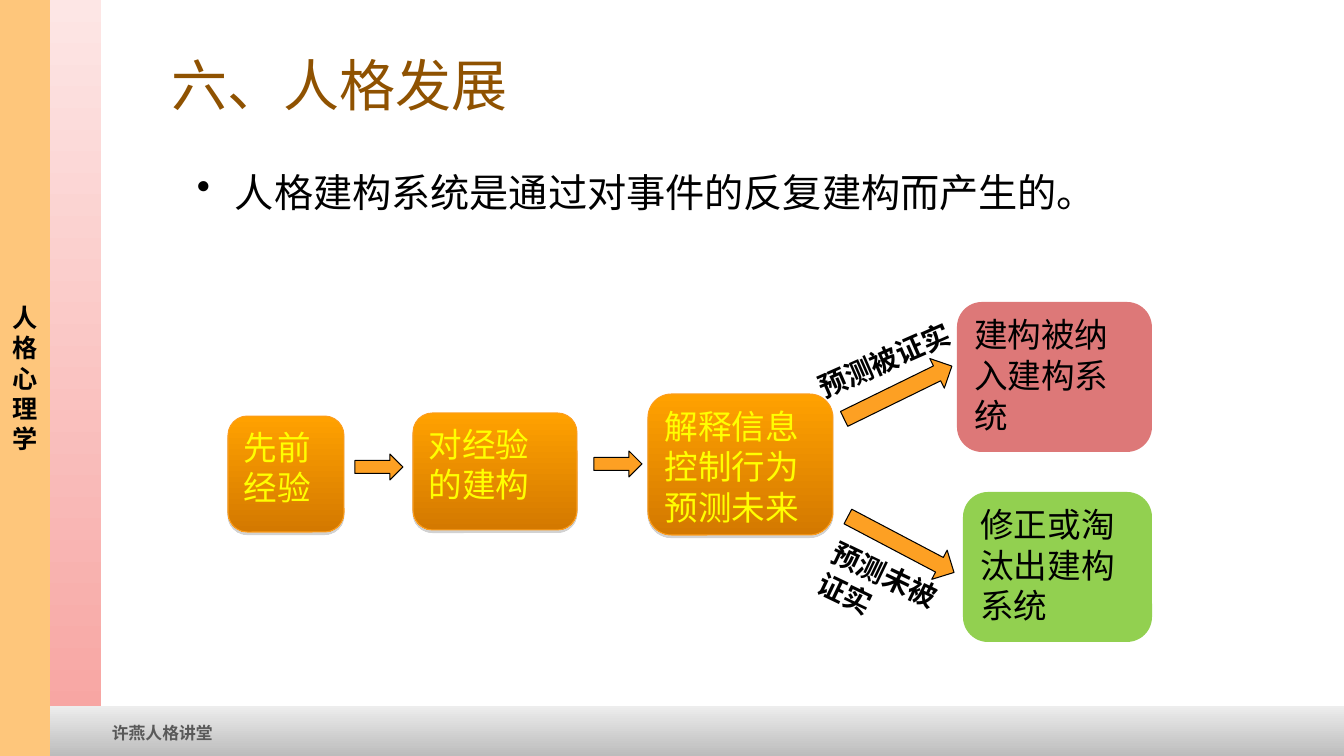
"""Build the slide on personality development with its construct flow diagram."""
from lxml import etree
from pptx import Presentation
from pptx import util as u
from pptx.dml.color import RGBColor
from pptx.enum import shapes, text
from pptx.oxml import ns

PX = 914400 / 100.8
BLACK = RGBColor(0x00, 0x00, 0x00)
GREY = RGBColor(0x59, 0x59, 0x59)
BROWN = RGBColor(0x8F, 0x52, 0x01)
YELLOW = RGBColor(0xFF, 0xFF, 0x00)
PEACH = RGBColor(0xFE, 0xC6, 0x7B)
ORANGE = RGBColor(0xFD, 0xA0, 0x23)
EDGE = RGBColor(0xFD, 0x9D, 0x1D)
RED = RGBColor(0xC0, 0x00, 0x00)
GREEN = RGBColor(0x92, 0xD0, 0x50)
PINK_FADE = [RGBColor(0xFD, 0xE6, 0xE5), RGBColor(0xF7, 0xA2, 0x9F)]
GREY_FADE = [RGBColor(0xED, 0xED, 0xED), RGBColor(0xBC, 0xBC, 0xBC)]
ORANGE_FADE = [RGBColor(0xFF, 0xA1, 0x00), RGBColor(0xD4, 0x79, 0x00)]
NOTO = "Noto Sans CJK SC"
CABIN = "Cabin"
RECT = shapes.MSO_SHAPE.RECTANGLE
ROUND = shapes.MSO_SHAPE.ROUNDED_RECTANGLE
ARROW = shapes.MSO_SHAPE.RIGHT_ARROW


def write(box, words, size=24, color=BLACK, font=CABIN, bold=False, wrap=True,
          anchor=text.MSO_ANCHOR.TOP, align=text.PP_ALIGN.LEFT, bullet=None):
    frame = box.text_frame
    frame.word_wrap = wrap
    frame.vertical_anchor = anchor
    for index, line in enumerate(words.split("\n")):
        para = frame.add_paragraph() if index else frame.paragraphs[0]
        para.alignment = align
        if bullet:
            props = para._p.get_or_add_pPr()
            props.set("marL", str(int(38 * PX)))
            props.set("indent", str(int(-38 * PX)))
            etree.SubElement(props, ns.qn("a:buChar"), char=bullet)
        span = para.add_run()
        span.text = line
        span.font.size = u.Pt(size)
        span.font.bold = bold
        span.font.name = font
        span.font.color.rgb = color
        etree.SubElement(span._r.rPr, ns.qn("a:ea"), typeface=CABIN)


def add_shape(kind, place, fill, line=None, shadow=None, turn=0):
    shape = page.shapes.add_shape(kind, *(int(n * PX) for n in place))
    shape.rotation = turn
    shape.shadow.inherit = False
    if isinstance(fill, list):
        shape.fill.gradient()
        shape.fill.gradient_angle = 270
        for stop, color in zip(shape.fill.gradient_stops, fill):
            stop.color.rgb = color
    else:
        shape.fill.solid()
        shape.fill.fore_color.rgb = fill
    if line is None:
        shape.line.fill.background()
    else:
        shape.line.color.rgb = line
        shape.line.width = u.Pt(0.75)
    if shadow:
        distance, alpha = shadow
        effects = shape._element.spPr.find(ns.qn("a:effectLst"))
        outer = etree.SubElement(effects, ns.qn("a:outerShdw"), blurRad="0",
                                 dist=str(int(u.Pt(distance))), dir="5400000", rotWithShape="0")
        tint = etree.SubElement(outer, ns.qn("a:srgbClr"), val="808080")
        etree.SubElement(tint, ns.qn("a:alpha"), val=str(alpha * 1000))
    return shape


deck = Presentation()
deck.slide_width = int(1344 * PX)
deck.slide_height = int(756 * PX)
page = deck.slides.add_slide(deck.slide_layouts[6])

add_shape(RECT, (50, 0, 51, 756), PINK_FADE, shadow=(1.6, 38))
add_shape(RECT, (0, 706, 1344, 50), GREY_FADE, shadow=(1.6, 38))
sidebar = add_shape(RECT, (0, 0, 50, 756), PEACH)
write(sidebar, "人格心理学", size=18, font=NOTO, bold=True,
      anchor=text.MSO_ANCHOR.MIDDLE, align=text.PP_ALIGN.CENTER)

steps = [
    ((228, 416, 116, 116), "先前经验"),
    ((413, 413, 164, 117), "对经验\n的建构"),
    ((648, 394, 185, 141), "解释信息\n控制行为\n预测未来"),
]
for place, words in steps:
    step = add_shape(ROUND, place, ORANGE_FADE, line=EDGE, shadow=(1.8, 35))
    write(step, words, color=YELLOW)

confirmed = add_shape(ROUND, (957, 302, 195, 150), RED)
write(confirmed, "建构被纳入建构系统")
red = confirmed._element.spPr.find(ns.qn("a:solidFill"))[0]
etree.SubElement(red, ns.qn("a:alpha"), val="53000")
revised = add_shape(ROUND, (963, 492, 189, 150), GREEN)
write(revised, "修正或淘汰出建构系统")

arrows = [
    ((838, 376, 120, 33), 333.9),
    ((841, 528, 120, 33), 27.8),
    ((355, 454, 48, 26), 0),
    ((594, 451, 48, 26), 0),
]
for place, turn in arrows:
    add_shape(ARROW, place, ORANGE, line=BLACK, turn=turn)

texts = [
    ((102, 718, 121, 30), 0, "许燕人格讲堂",
     dict(size=12, color=GREY, font=NOTO, bold=True, wrap=False)),
    ((162, 21, 1074, 126), 0, "六、人格发展",
     dict(size=40, color=BROWN, font=NOTO, anchor=text.MSO_ANCHOR.MIDDLE)),
    ((187, 163, 1024, 75), 0, "人格建构系统是通过对事件的反复建构而产生的。",
     dict(size=28, font=NOTO, bullet="•")),
    ((804, 337, 167, 44), 336.3, "预测被证实", dict(size=20, bold=True)),
    ((810, 559, 167, 78), 25.6, "预测未被\n证实", dict(size=20, bold=True)),
]
for place, turn, words, style in texts:
    box = page.shapes.add_textbox(*(int(n * PX) for n in place))
    box.rotation = turn
    write(box, words, **style)

deck.save("out.pptx")
